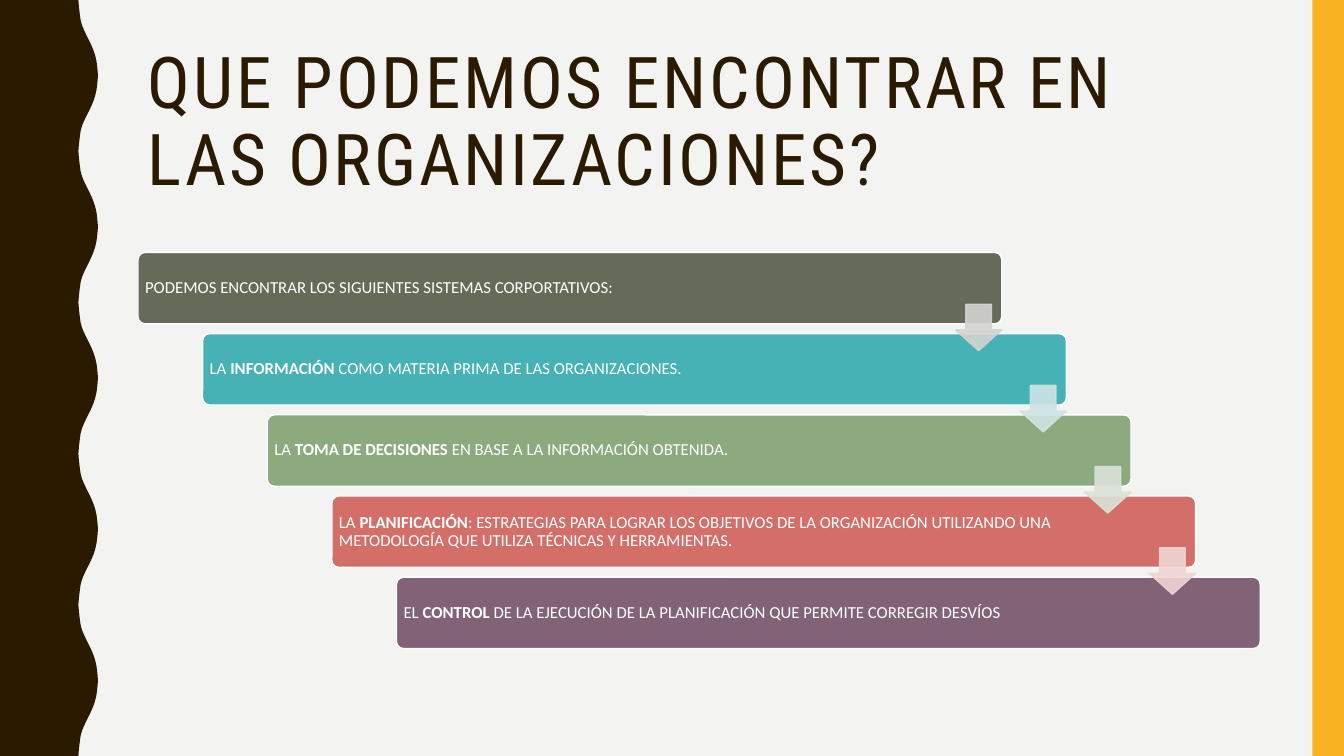
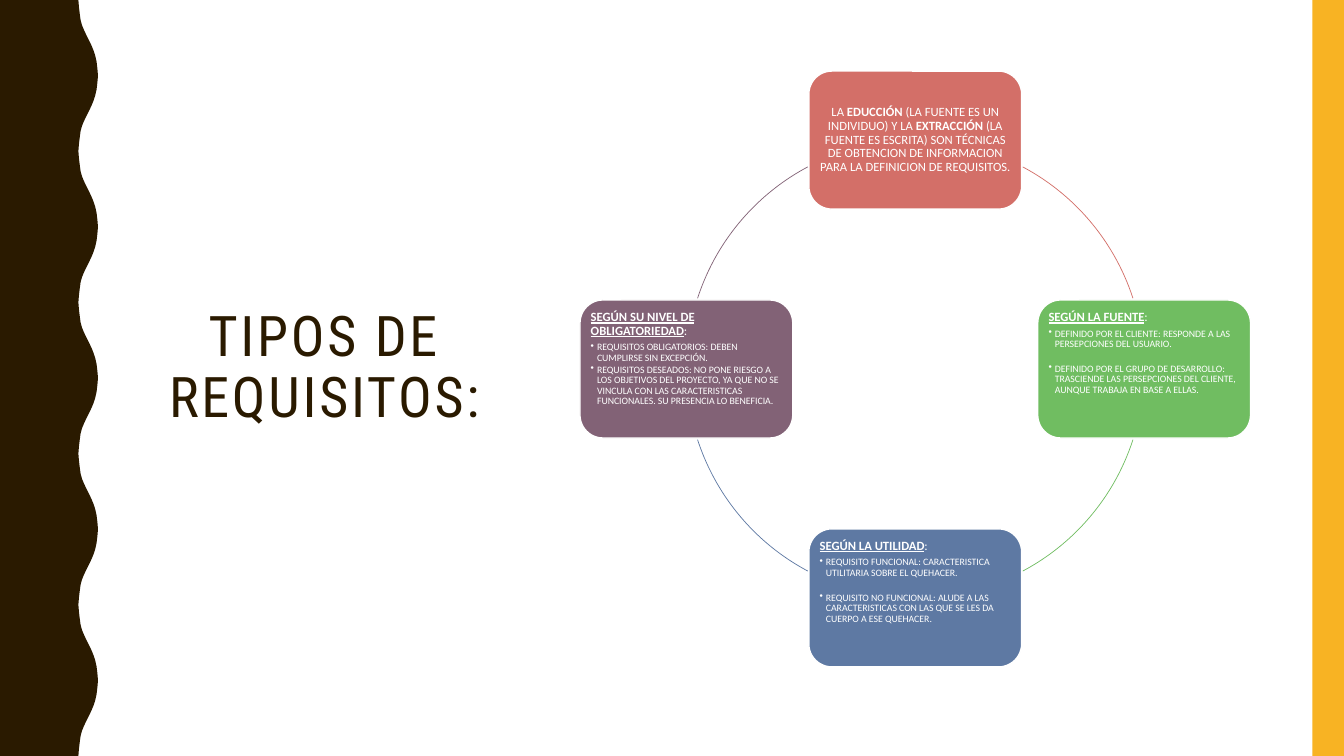
from dataclasses import dataclass
from math import cos, radians, sin
from typing import NamedTuple

from lxml.etree import SubElement
from pptx import Presentation
from pptx.dml.color import RGBColor
from pptx.enum.shapes import MSO_SHAPE
from pptx.enum.text import MSO_ANCHOR, PP_ALIGN
from pptx.oxml.ns import qn
from pptx.shapes.autoshape import Shape
from pptx.slide import Slide
from pptx.text.text import TextFrame, _Paragraph
from pptx.util import Pt


# Theme: colours, fonts and type sizes
@dataclass(frozen=True)
class Theme:
    dark: str = "2A1A00"
    amber: str = "F8B323"
    pale: str = "F3F3F2"
    white: str = "FFFFFF"
    olive: str = "656A59"
    teal: str = "46B2B5"
    sage: str = "8CAA7E"
    coral: str = "D36F68"
    plum: str = "826276"
    green: str = "70BD61"
    blue: str = "5E79A3"
    title_font: str = "Roboto Condensed"
    body_font: str = "Calibri"
    title_size: float = 51
    side_title_size: float = 40
    step_size: float = 12
    node_size: float = 9
    bullet_size: float = 7
    line_spacing: float = 0.9


THEME = Theme()
SLIDE_WIDTH, SLIDE_HEIGHT = 960, 540


class Box(NamedTuple):
    left: float
    top: float
    width: float
    height: float

    def lengths(self) -> list[Pt]:
        return [Pt(value) for value in self]


class Step(NamedTuple):
    text: str  # asterisks enclose bold words
    color: str
    arrow_color: str = ""


class Node(NamedTuple):
    text: str  # asterisks enclose bold words
    color: str
    bullets: tuple[str, ...] = ()
    bullet_gap: float = 0


STEPS = (
    Step("PODEMOS ENCONTRAR LOS SIGUIENTES SISTEMAS CORPORTATIVOS:", THEME.olive, "D3D4D1"),
    Step("LA *INFORMACIÓN* COMO MATERIA PRIMA DE LAS ORGANIZACIONES.", THEME.teal, "CFE4E5"),
    Step("LA *TOMA DE DECISIONES* EN BASE A LA INFORMACIÓN OBTENIDA.", THEME.sage, "DAE2D8"),
    Step("LA *PLANIFICACIÓN*: ESTRATEGIAS PARA LOGRAR LOS OBJETIVOS DE LA ORGANIZACIÓN "
         "UTILIZANDO UNA METODOLOGÍA QUE UTILIZA TÉCNICAS Y HERRAMIENTAS.", THEME.coral, "EFD5D4"),
    Step("EL *CONTROL* DE LA EJECUCIÓN DE LA PLANIFICACIÓN QUE PERMITE CORREGIR DESVÍOS",
         THEME.plum),
)

# Clockwise from the top of the cycle
NODES = (
    Node("LA *EDUCCIÓN* (LA FUENTE ES UN INDIVIDUO) Y LA *EXTRACCIÓN* (LA FUENTE ES ESCRITA) SON "
         "TÉCNICAS DE OBTENCION DE INFORMACION PARA LA DEFINICION DE REQUISITOS.", THEME.coral),
    Node("*SEGÚN LA FUENTE*:", THEME.green,
         ("DEFINIDO POR EL CLIENTE: RESPONDE A LAS PERSEPCIONES DEL USUARIO.",
          "DEFINIDO POR EL GRUPO DE DESARROLLO: TRASCIENDE LAS PERSEPCIONES DEL CLIENTE, "
          "AUNQUE TRABAJA EN BASE A ELLAS."), 10),
    Node("*SEGÚN LA UTILIDAD*:", THEME.blue,
         ("REQUISITO FUNCIONAL: CARACTERISTICA UTILITARIA SOBRE EL QUEHACER.",
          "REQUISITO NO FUNCIONAL: ALUDE A LAS CARACTERISTICAS CON LAS QUE SE LES DA CUERPO "
          "A ESE QUEHACER."), 10),
    Node("*SEGÚN SU NIVEL DE OBLIGATORIEDAD*:", THEME.plum,
         ("REQUISITOS OBLIGATORIOS: DEBEN CUMPLIRSE SIN EXCEPCIÓN.",
          "REQUISITOS DESEADOS: NO PONE RIESGO A LOS OBJETIVOS DEL PROYECTO, YA QUE NO SE "
          "VINCULA CON LAS CARACTERISTICAS FUNCIONALES. SU PRESENCIA LO BENEFICIA."), 1),
)


# Shape and text helpers
def paint(shape: Shape, fill: str = "", line: str = "", weight: float = 1) -> None:
    shape.shadow.inherit = False
    if fill:
        shape.fill.solid()
        shape.fill.fore_color.rgb = RGBColor.from_string(fill)
    else:
        shape.fill.background()
    if line:
        shape.line.color.rgb = RGBColor.from_string(line)
        shape.line.width = Pt(weight)
    else:
        shape.line.fill.background()


def add_shape(page: Slide, kind: MSO_SHAPE, box: Box, fill: str = "", line: str = "",
              weight: float = 1, adjustments: tuple[float, ...] = ()) -> Shape:
    shape = page.shapes.add_shape(kind, *box.lengths())
    for index, value in enumerate(adjustments):
        shape.adjustments[index] = value
    paint(shape, fill, line, weight)
    return shape


def set_opacity(shape: Shape, percent: int) -> None:
    for color in shape._element.spPr.iter(qn("a:srgbClr")):
        SubElement(color, qn("a:alpha")).set("val", str(percent * 1000))


def set_frame(frame: TextFrame, anchor: MSO_ANCHOR, inset: float, right: float) -> None:
    frame.word_wrap = True
    frame.vertical_anchor = anchor
    frame.margin_left = frame.margin_top = frame.margin_bottom = Pt(inset)
    frame.margin_right = Pt(right)


def style_paragraph(para: _Paragraph, size: float, color: str = THEME.white,
                    font: str = THEME.body_font, align: PP_ALIGN = PP_ALIGN.LEFT) -> None:
    para.alignment = align
    para.line_spacing = THEME.line_spacing
    para.font.name = font
    para.font.size = Pt(size)
    para.font.color.rgb = RGBColor.from_string(color)


def add_marked_text(para: _Paragraph, text: str, underline: bool = False) -> None:
    for index, part in enumerate(text.split("*")):
        if part:
            span = para.add_run()
            span.text = part
            if index % 2:
                span.font.bold = True
                span.font.underline = underline or None


def add_bullet(para: _Paragraph, text: str) -> None:
    para.text = text
    style_paragraph(para, THEME.bullet_size)
    properties = para._p.get_or_add_pPr()
    indent = Pt(4.5)
    properties.set("marL", str(indent))
    properties.set("indent", str(-indent))
    bullet = properties.makeelement(qn("a:buChar"), {"char": "•"})
    properties.find(qn("a:defRPr")).addprevious(bullet)


# Parts shared by both slides
def add_wave_band(page: Slide) -> None:
    half_wave = ((56, 0), (56.4, 5), (57, 10), (57.6, 14.4), (58.6, 18), (59.8, 21), (61.2, 24),
                 (62.7, 27), (64.2, 30), (65.6, 33), (66.8, 36), (68, 39.6), (69, 44),
                 (69.6, 49), (70, 54))
    period = 108
    wave = half_wave + tuple((x, period - y) for x, y in reversed(half_wave[:-1]))
    edge = [(x, start + y) for start in range(0, SLIDE_HEIGHT, period) for x, y in wave]
    outline = [(Pt(x), Pt(y)) for x, y in [*edge, (0, SLIDE_HEIGHT)]]
    builder = page.shapes.build_freeform(0, 0, scale=1.0)
    builder.add_line_segments(outline, close=True)
    paint(builder.convert_to_shape(), THEME.dark)


def add_title(page: Slide, text: str, box: Box, size: float, align: PP_ALIGN) -> None:
    frame = page.shapes.add_textbox(*box.lengths()).text_frame
    set_frame(frame, MSO_ANCHOR.MIDDLE, 3.6, 7.2)
    frame.margin_left = Pt(7.2)
    para = frame.paragraphs[0]
    para.text = text
    style_paragraph(para, size, THEME.dark, THEME.title_font, align)
    para.runs[0]._r.get_or_add_rPr().set("spc", "200")


def add_page(deck: Presentation, background: str) -> Slide:
    page = deck.slides.add_slide(deck.slide_layouts[6])
    page.background.fill.solid()
    page.background.fill.fore_color.rgb = RGBColor.from_string(background)
    add_wave_band(page)
    add_shape(page, MSO_SHAPE.RECTANGLE, Box(937.5, 0, 22.5, SLIDE_HEIGHT), THEME.amber)
    return page


# Slide 1: staircase of steps
def add_staircase(page: Slide) -> None:
    first = Box(98.6, 180.3, 617, 51)
    shift_x, shift_y, arrow_side = 46.15, 58, 33.2
    boxes = [first._replace(left=first.left + index * shift_x, top=first.top + index * shift_y)
             for index in range(len(STEPS))]
    for step, box in zip(STEPS, boxes):
        bar = add_shape(page, MSO_SHAPE.ROUNDED_RECTANGLE, box, step.color, THEME.white,
                        adjustments=(0.1,))
        set_frame(bar.text_frame, MSO_ANCHOR.MIDDLE, 3.6, 83)
        para = bar.text_frame.paragraphs[0]
        style_paragraph(para, THEME.step_size)
        add_marked_text(para, step.text)
    for step, box in zip(STEPS, boxes):
        if step.arrow_color:
            place = Box(box.left + box.width - arrow_side, box.top + 37, arrow_side, arrow_side)
            arrow = add_shape(page, MSO_SHAPE.DOWN_ARROW, place, step.arrow_color,
                              step.arrow_color, adjustments=(0.55, 0.45))
            set_opacity(arrow, 90)


# Slide 2: cycle of nodes joined by arcs
def add_cycle(page: Slide) -> None:
    center_x, center_y, radius = 653.8, 263.6, 163.5
    width, height = 152, 98.6
    ring = Box(center_x - radius, center_y - radius, 2 * radius, 2 * radius)
    turn = 360 / len(NODES)
    arc_margin = 28
    arc_unit = 0.6  # adjustment value of one degree
    for index, node in enumerate(NODES):
        angle = (270 + index * turn) % 360
        box = Box(center_x + radius * cos(radians(angle)) - width / 2,
                  center_y + radius * sin(radians(angle)) - height / 2, width, height)
        shape = add_shape(page, MSO_SHAPE.ROUNDED_RECTANGLE, box, node.color, THEME.white)
        frame = shape.text_frame
        set_frame(frame, MSO_ANCHOR.TOP if node.bullets else MSO_ANCHOR.MIDDLE, 2.9, 2.9)
        heading = frame.paragraphs[0]
        style_paragraph(heading, THEME.node_size,
                        align=PP_ALIGN.LEFT if node.bullets else PP_ALIGN.CENTER)
        add_marked_text(heading, node.text, underline=bool(node.bullets))
        if node.bullets:
            heading.space_after = Pt(3)
        for bullet in node.bullets:
            para = frame.add_paragraph()
            add_bullet(para, bullet)
            if bullet != node.bullets[-1]:
                para.space_after = Pt(node.bullet_gap)
        arc_start, arc_end = angle + arc_margin, angle + turn - 18
        if index % 2:
            arc_start, arc_end = angle + 18, angle + turn - arc_margin
        add_shape(page, MSO_SHAPE.ARC, ring, line=node.color, weight=0.5,
                  adjustments=(arc_start * arc_unit, arc_end * arc_unit))


def main() -> None:
    deck = Presentation()
    deck.slide_width, deck.slide_height = Pt(SLIDE_WIDTH), Pt(SLIDE_HEIGHT)

    page = add_page(deck, THEME.pale)
    add_title(page, "QUE PODEMOS ENCONTRAR EN LAS ORGANIZACIONES?", Box(98.6, 30, 798, 117.5),
              THEME.title_size, PP_ALIGN.LEFT)
    add_staircase(page)

    page = add_page(deck, THEME.white)
    add_title(page, "TIPOS DE REQUISITOS:", Box(98.6, 50.5, 266.5, 426),
              THEME.side_title_size, PP_ALIGN.CENTER)
    add_cycle(page)

    deck.save("out.pptx")


if __name__ == "__main__":
    main()
